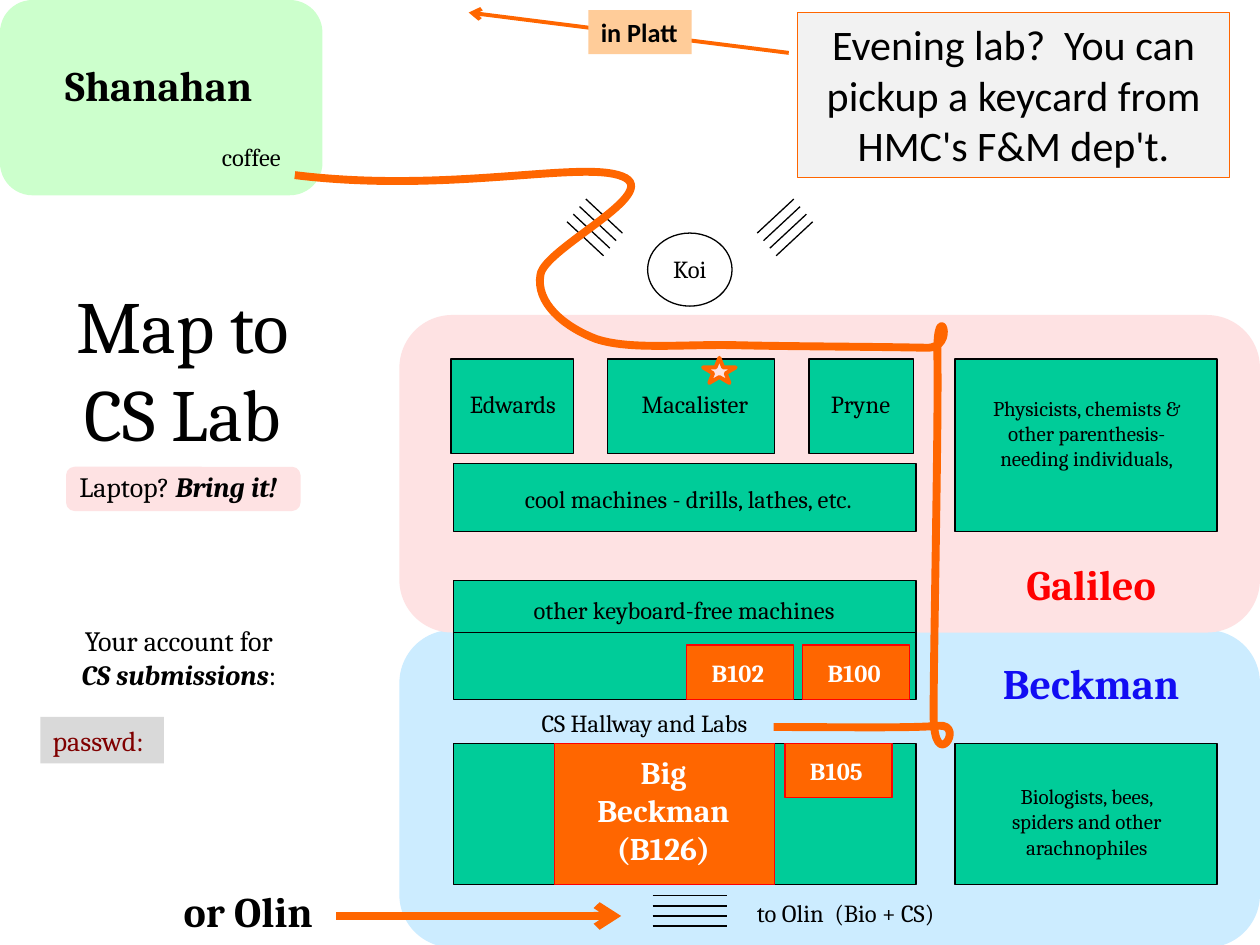
from dataclasses import dataclass

from lxml.etree import SubElement
from pptx import Presentation
from pptx.dml.color import RGBColor
from pptx.enum.shapes import MSO_CONNECTOR as Link, MSO_SHAPE as Form
from pptx.enum.text import MSO_AUTO_SIZE as Auto, PP_ALIGN as Align
from pptx.oxml.ns import qn
from pptx.util import Inches, Pt


@dataclass(frozen=True)
class Theme:
    font: str = "Cambria"
    sans: str = "Calibri"
    black: str = "000000"
    white: str = "FFFFFF"
    mint: str = "CCFFCC"
    pink: str = "FEE2E3"
    sky: str = "CCECFF"
    green: str = "00CC99"
    orange: str = "FF6600"
    peach: str = "FFCC99"
    red: str = "FF0000"
    blue: str = "120DF3"
    wine: str = "800000"
    grey: str = "D9D9D9"
    pale: str = "F2F2F2"
    small: int = 12
    body: int = 14
    tag: int = 15
    note: int = 16
    room: int = 18
    head: int = 24
    title: int = 42
    thin: float = 0.75
    mid: float = 2.25
    thick: float = 4.5


T = Theme()


def inch(*nums):
    return [Inches(n) for n in nums]


def paint(shape, fill=None, line=None, width=T.thin):
    if fill:
        shape.fill.solid()
        shape.fill.fore_color.rgb = RGBColor.from_string(fill)
    else:
        shape.fill.background()
    if line:
        shape.line.color.rgb = RGBColor.from_string(line)
        shape.line.width = Pt(width)
    else:
        shape.line.fill.background()


def block(slide, form, box, **look):
    shape = slide.shapes.add_shape(form, *inch(*box))
    shape.shadow.inherit = False
    paint(shape, **look)


def text(slide, words, box, size=T.body, color=T.black, font=T.font, bold=False,
         align=Align.CENTER, wrap=True, space=None, gap=0, fill=None, line=None):
    shape = slide.shapes.add_textbox(*inch(*box))
    paint(shape, fill, line)
    frame = shape.text_frame
    frame.word_wrap = wrap
    frame.auto_size = Auto.SHAPE_TO_FIT_TEXT
    for i, row in enumerate(words.split("\n")):
        para = frame.add_paragraph() if i else frame.paragraphs[0]
        para.alignment = align
        if space:
            para.line_spacing = space
        if i:
            para.space_before = Pt(gap)
        for j, part in enumerate(row.split("*")):
            if not part:
                continue
            run = para.add_run()
            run.text = part
            face = run.font
            face.name, face.size = font, Pt(size)
            face.color.rgb = RGBColor.from_string(color)
            face.bold = bold or j % 2 == 1
            face.italic = j % 2 == 1


def stroke(shapes, ends, color=T.black, width=T.thin, arrow=False):
    link = shapes.add_connector(Link.STRAIGHT, *inch(*ends))
    link.line.color.rgb = RGBColor.from_string(color)
    link.line.width = Pt(width)
    if arrow:
        SubElement(link.line._get_or_add_ln(), qn("a:tailEnd"), type="arrow")
    SubElement(link._element.spPr, qn("a:effectLst"))


def stairs(shapes, ends, step):
    for i in range(4):
        dx, dy = step[0] * i, step[1] * i
        x, y, u, v = ends
        stroke(shapes, (x + dx, y + dy, u + dx, v + dy))


def route(slide, start, curves):
    pen = slide.shapes.build_freeform(*inch(*start), scale=1.0)
    pen.add_line_segments([inch(*dot) for curve in curves for dot in curve], close=False)
    shape = pen.convert_to_shape()
    shape.shadow.inherit = False
    paint(shape, line=T.orange, width=T.thick)
    trail = shape._element.find(".//" + qn("a:path"))
    steps = trail.findall(qn("a:lnTo"))
    for i in range(0, len(steps), 3):
        bend = SubElement(trail, qn("a:cubicBezTo"))
        for step in steps[i:i + 3]:
            bend.append(step[0])
            trail.remove(step)


def zones(slide):
    for box, fill in (
        ((0, 0, 2.56, 1.55), T.mint),
        ((3.17, 5, 6.83, 2.52), T.sky),
        ((3.17, 2.5, 6.83, 2.52), T.pink),
    ):
        block(slide, Form.ROUNDED_RECTANGLE, box, fill=fill)
    block(slide, Form.ROUNDED_RECTANGLE, (0.54, 3.72, 1.83, 0.32),
          fill=T.pink, line=T.pink, width=T.mid)


def halls(slide):
    for box in (
        (3.58, 2.85, 0.97, 0.75), (4.82, 2.85, 1.33, 0.75), (6.42, 2.85, 0.83, 0.75),
        (3.6, 3.68, 3.67, 0.54), (3.6, 4.61, 3.67, 0.94), (3.6, 5.9, 3.67, 1.12),
        (7.58, 2.85, 2.08, 1.37), (7.58, 5.9, 2.08, 1.12),
    ):
        block(slide, Form.RECTANGLE, box, fill=T.green, line=T.black)
    stroke(slide.shapes, (3.6, 5.02, 7.27, 5.02))
    for words, box in (
        ("Edwards", (3.57, 3.04, 1, 0.33)),
        ("Macalister", (4.82, 3.04, 1.39, 0.33)),
        ("Pryne", (6.33, 3.04, 1, 0.33)),
        ("coffee", (1.48, 1.08, 1.03, 0.33)),
        ("cool machines - drills, lathes, etc.", (3.8, 3.79, 3.33, 0.33)),
        ("other keyboard-free machines", (3.72, 4.67, 3.42, 0.33)),
        ("CS Hallway and Labs", (3.58, 5.57, 3.07, 0.33)),
        ("Koi", (4.96, 1.97, 1.03, 0.33)),
    ):
        text(slide, words, box)
    for words, top in (
        ("Physicists, chemists & other parenthesis-needing individuals,", 3.09),
        ("Biologists, bees, spiders and other arachnophiles", 6.17),
    ):
        text(slide, words, (7.75, top, 1.75, 0.71), size=T.small)
    text(slide, "to Olin  (Bio + CS)", (5.91, 7.08, 1.93, 0.34), align=Align.LEFT)
    block(slide, Form.OVAL, (5.14, 1.85, 0.67, 0.58), line=T.black)


def rooms(slide):
    for name, x, y in (("B102", 5.45, 5.12), ("B105", 6.23, 5.9), ("B100", 6.37, 5.12)):
        block(slide, Form.RECTANGLE, (x, y, 0.85, 0.43), fill=T.orange, line=T.red)
        text(slide, name, (x + 0.1, y + 0.05, 0.68, 0.34), color=T.white,
             bold=True, align=Align.LEFT, wrap=False)
    block(slide, Form.RECTANGLE, (4.4, 5.9, 1.75, 1.12), fill=T.orange, line=T.red)
    text(slide, "Big Beckman (B126)", (4.52, 5.93, 1.49, 1.01), size=T.room,
         color=T.white, bold=True, fill=T.orange)


def signs(slide):
    for words, box, color in (
        ("Galileo", (7.89, 4.38, 1.54, 0.5), T.red),
        ("Beckman", (7.73, 5.17, 1.86, 0.5), T.blue),
        ("Shanahan", (0.22, 0.42, 2.08, 0.5), T.black),
        ("or Olin", (1.29, 6.98, 1.36, 0.5), T.black),
    ):
        text(slide, words, box, size=T.head, color=color, bold=True)
    text(slide, "Map to CS Lab", (0.34, 2.17, 2.22, 1.51), size=T.title)
    text(slide, "Laptop? *Bring it!*", (0.46, 3.77, 1.91, 0.27), size=T.note,
         wrap=False, space=0.6)
    text(slide, "Your account for\n*CS submissions*:", (0.49, 4.99, 1.86, 0.57),
         size=T.note, space=0.6, gap=8)
    text(slide, "passwd:", (0.32, 5.69, 0.98, 0.37), size=T.note, color=T.wine,
         align=Align.LEFT, wrap=False, fill=T.grey)


def paths(slide):
    stairs(slide.shapes, (5.18, 7.11, 5.77, 7.11), (0, 0.08))
    stairs(slide.shapes.add_group_shape().shapes, (4.65, 1.58, 4.94, 1.85), (-0.05, 0.06))
    stairs(slide.shapes.add_group_shape().shapes, (6.16, 2.03, 6.45, 1.76), (-0.05, -0.06))
    route(slide, (2.34, 1.39), (
        ((3.56, 1.54), (4.62, 1.27), (4.94, 1.4)),
        ((5.27, 1.53), (4.32, 1.97), (4.29, 2.18)),
        ((4.25, 2.4), (4.47, 2.59), (4.73, 2.69)),
        ((5, 2.78), (5.42, 2.73), (5.85, 2.74)),
        ((6.29, 2.75), (6.85, 2.75), (7.35, 2.76)),
        ((7.61, 2.77), (7.43, 2.33), (7.44, 2.82)),
        ((7.45, 3.3), (7.41, 5.18), (7.41, 5.67)),
        ((7.41, 6.16), (7.67, 5.74), (7.45, 5.76)),
        ((7.24, 5.78), (6.69, 5.77), (6.14, 5.77)),
    ))
    block(slide, Form.STAR_5_POINT, (5.58, 2.84, 0.26, 0.2),
          fill=T.pink, line=T.orange, width=T.mid)
    stroke(slide.shapes, (2.67, 7.27, 4.93, 7.27), T.orange, T.thick, True)
    stroke(slide.shapes, (6.26, 0.42, 3.72, 0.1), T.orange, T.mid, True)


def notes(slide):
    text(slide, "Evening lab?  You can pickup a keycard from HMC's F&M dep't.",
         (6.33, 0.1, 3.43, 1.31), size=T.head, font=T.sans, fill=T.pale, line=T.orange)
    text(slide, "in Platt", (4.67, 0.08, 0.82, 0.35), size=T.tag, font=T.sans,
         bold=True, align=Align.LEFT, wrap=False, fill=T.peach)


def main():
    deck = Presentation()
    deck.slide_width, deck.slide_height = inch(10, 7.5)
    slide = deck.slides.add_slide(deck.slide_layouts[6])
    for draw in (zones, halls, rooms, signs, paths, notes):
        draw(slide)
    deck.save("out.pptx")


if __name__ == "__main__":
    main()
